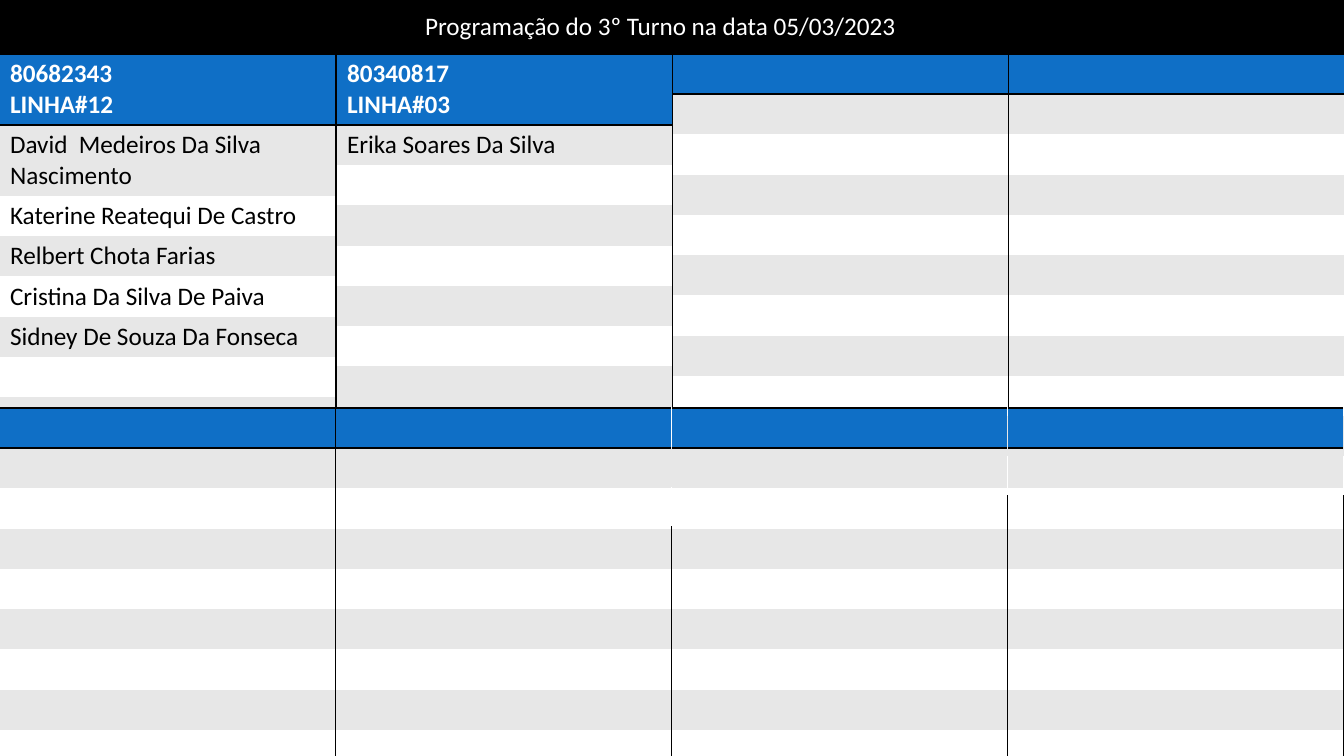
from dataclasses import dataclass

from lxml.etree import SubElement
from pptx import Presentation
from pptx.dml.color import RGBColor
from pptx.enum.text import MSO_ANCHOR, MSO_AUTO_SIZE, PP_ALIGN
from pptx.oxml.ns import qn
from pptx.util import Pt

EMU_PER_PX = 914400 / 100.8
PAGE_WIDTH, PAGE_HEIGHT = 1344, 756
TABLE_WIDTH, ROW_HEIGHT, ROW_COUNT = 335, 31, 11
COLUMN_STEP = 336
UPPER_TOP, LOWER_TOP = 54, 408
CELL_MARGIN = Pt(3.4)
BLACK, WHITE, GREY, BLUE = "000000", "FFFFFF", "E7E7E7", "0F6FC6"
PLAIN_TABLE_STYLE = "{2D5ABB26-0587-4C30-8999-92F81FD0307C}"


@dataclass(frozen=True)
class Machine:
    """One table: the machine in its header and the team below it."""
    left: int
    top: int
    header: str = ""
    team: tuple[str, ...] = ()


ASSIGNED = (
    ("80682343\nLINHA#12", (
        "David\u00a0 Medeiros Da Silva Nascimento",
        "Katerine Reatequi De Castro",
        "Relbert Chota Farias",
        "Cristina Da Silva De Paiva",
        "Sidney De Souza Da Fonseca",
    )),
    ("80340817\nLINHA#03", ("Erika Soares Da Silva",)),
    ("", ()),
    ("", ()),
)
UPPER_LEFTS = (0, 337, 673, 1009)
MACHINES = [
    Machine(left, UPPER_TOP, header, team)
    for left, (header, team) in zip(UPPER_LEFTS, ASSIGNED)
] + [Machine(column * COLUMN_STEP, LOWER_TOP) for column in range(4)]


def px(length: int) -> int:
    return round(length * EMU_PER_PX)


def color(value: str) -> RGBColor:
    return RGBColor.from_string(value)


def format_text(frame, ink: str, bold: bool = False) -> None:
    font_format = {"name": "Calibri", "size": Pt(18), "bold": bold}
    for para in frame.paragraphs:
        para.alignment = PP_ALIGN.LEFT
        for span in para.runs:
            for name, value in font_format.items():
                setattr(span.font, name, value)
            span.font.color.rgb = color(ink)


def add_border(cell, side: str) -> None:
    line = SubElement(cell._tc.get_or_add_tcPr(), qn(f"a:{side}"), w=str(Pt(2)))
    SubElement(SubElement(line, qn("a:solidFill")), qn("a:srgbClr"), val=BLACK)


def fill_cell(cell, text: str, fill: str, ink: str, sides: tuple[str, ...]) -> None:
    cell.margin_top = cell.margin_bottom = CELL_MARGIN
    for side in sides:
        add_border(cell, side)
    cell.fill.solid()
    cell.fill.fore_color.rgb = color(fill)
    if text:
        cell.text_frame.text = text
        format_text(cell.text_frame, ink, bold=fill == BLUE)


def add_machine(page, machine: Machine) -> None:
    table = page.shapes.add_table(
        ROW_COUNT, 1, px(machine.left), px(machine.top),
        px(TABLE_WIDTH), px(ROW_HEIGHT * ROW_COUNT),
    ).table
    table._tbl.tblPr.find(qn("a:tableStyleId")).text = PLAIN_TABLE_STYLE
    fill_cell(table.cell(0, 0), machine.header, BLUE, WHITE, ("lnT", "lnB"))
    for row in range(1, ROW_COUNT):
        name = machine.team[row - 1] if row <= len(machine.team) else ""
        sides = ("lnB",) if row == ROW_COUNT - 1 else ()
        fill_cell(table.cell(row, 0), name, GREY if row % 2 else WHITE, BLACK, sides)


def add_title(page) -> None:
    title = page.shapes.title
    box = {"left": 415, "top": 5, "width": 515, "height": 40}
    for name, value in box.items():
        setattr(title, name, px(value))
    frame = title.text_frame
    frame.text = "Programação do 3º Turno na data 05/03/2023"
    frame_format = {
        "word_wrap": True,
        "auto_size": MSO_AUTO_SIZE.NONE,
        "vertical_anchor": MSO_ANCHOR.TOP,
    }
    for name, value in frame_format.items():
        setattr(frame, name, value)
    format_text(frame, WHITE)


def main() -> None:
    deck = Presentation()
    deck.slide_width, deck.slide_height = px(PAGE_WIDTH), px(PAGE_HEIGHT)
    page = deck.slides.add_slide(deck.slide_layouts[5])
    page.background.fill.solid()
    page.background.fill.fore_color.rgb = color(BLACK)
    for machine in MACHINES:
        add_machine(page, machine)
    add_title(page)
    deck.save("out.pptx")


if __name__ == "__main__":
    main()
